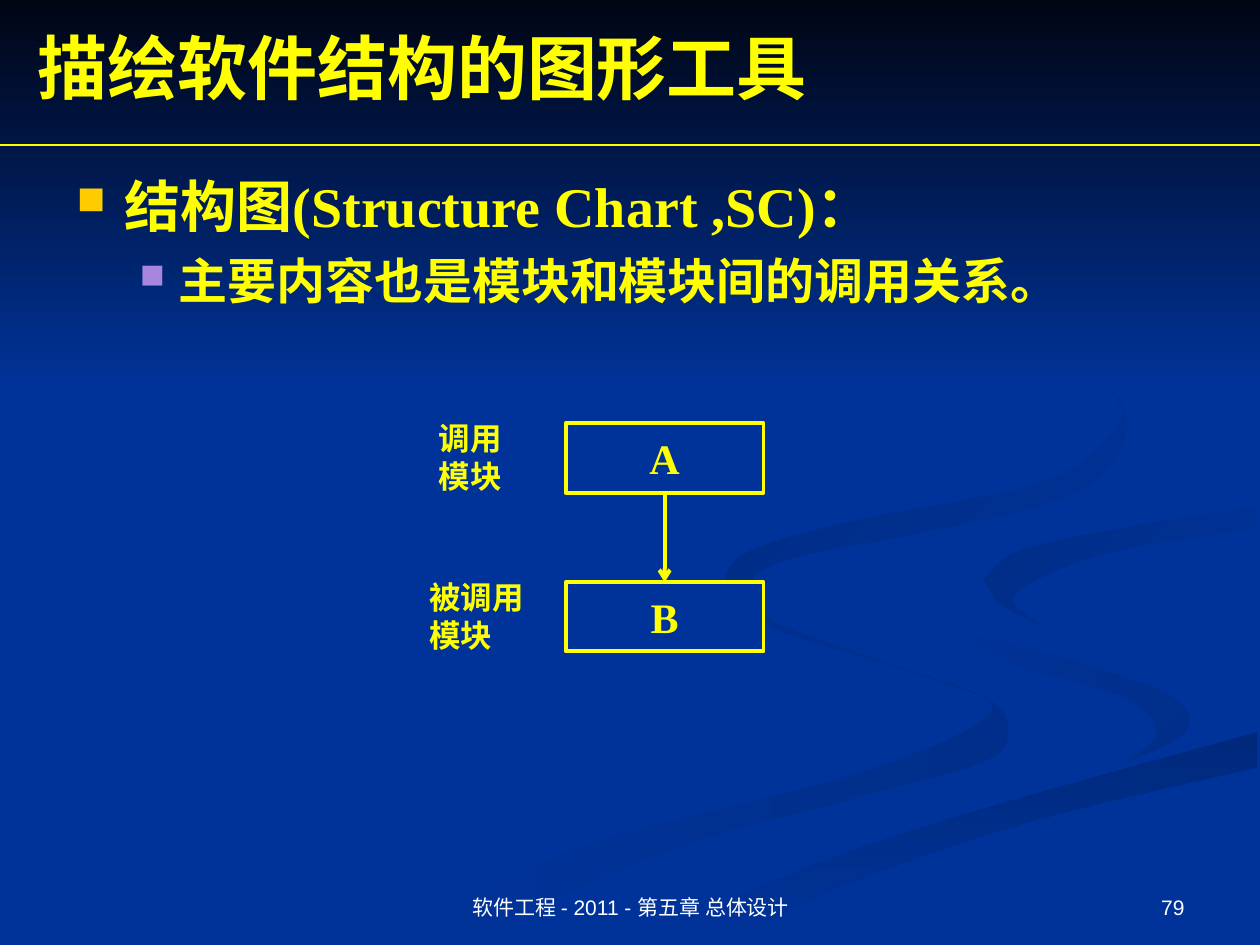
import pptx
import pptx.util
import pptx.dml.color
import pptx.enum.shapes
import pptx.enum.text
import pptx.oxml
import pptx.oxml.ns

Inches, Pt = pptx.util.Inches, pptx.util.Pt
SHAPES = pptx.enum.shapes.MSO_SHAPE
ALIGN = pptx.enum.text.PP_ALIGN
ANCHOR = pptx.enum.text.MSO_ANCHOR

WIDTH, HEIGHT = 10, 7.5
BLUE, YELLOW, WHITE = "003399", "FFFF00", "FFFFFF"
SERIF, SANS = "Times New Roman", "Arial"

# Content
TITLE = "描绘软件结构的图形工具"
# text, size, left margin, hanging indent, space before, bullet colour
BULLETS = [
    ("结构图(Structure Chart ,SC)：", 32, 0.38, 0.38, 0, "FFCC00"),
    ("主要内容也是模块和模块间的调用关系。", 28, 0.81, 0.31, 7, "A886E0"),
]
# module name, its label, label width
MODULES = [("A", "调用模块", 0.87), ("B", "被调用模块", 1.02)]
# text, left, width, alignment
FOOTERS = [
    ("软件工程 - 2011 - 第五章 总体设计", 3.42, 3.17, ALIGN.CENTER),
    ("79", 7.17, 2.33, ALIGN.RIGHT),
]

# Background ribbons: start colour, end colour, clockwise angle, two curved edges
RIBBONS = [
    ("002E8A", BLUE, 180,
     [(5.75, 4.59), (5.94, 4.85), (6.82, 5.19), (7.81, 5.53), (8, 5.81), (7.8, 6.05),
      (6.76, 6.34), (5.32, 6.74), (3.61, 7.49)],
     [(3, 7.49), (4.58, 6.74), (6.84, 6.13), (7.86, 5.66), (7.41, 5.39), (6.31, 5.05),
      (5.72, 4.76)]),
    ("002E8A", BLUE, 225,
     [(7.24, 4.64), (7.58, 4.98), (8.5, 5.24), (9.3, 5.53), (9.41, 5.81), (8.94, 6.05)],
     [(8.94, 6.05), (9.18, 5.81), (8.92, 5.53), (7.97, 5.24), (7.33, 4.88)]),
    ("00297C", BLUE, 90,
     [(5.03, 7.49), (6.3, 6.93), (7.64, 6.47), (9.98, 5.81)],
     [(9.98, 6.09), (8.21, 6.51), (6.7, 7.02), (5.71, 7.49)]),
    (BLUE, "002C85", 225,
     [(7.81, 4.6), (8.1, 4.37), (8.98, 4.18), (9.98, 4.02)],
     [(9.98, 4.2), (8.78, 4.39), (8.05, 4.72), (8.26, 4.96), (7.91, 4.78)]),
    (BLUE, "002B81", 225,
     [(8.8, 3.07), (8.94, 3.44), (8.55, 3.91), (7.39, 4.21), (6.24, 4.44), (5.93, 4.7),
      (6.22, 5)],
     [(6.22, 5), (5.8, 4.74), (5.89, 4.41), (6.76, 4.14), (8.3, 3.82), (8.89, 3.35),
      (8.8, 3.07)]),
]


def color(value):
    return pptx.dml.color.RGBColor.from_string(value)


def add_xml(parent, tag, **attributes):
    child = pptx.oxml.parse_xml(f"<a:{tag} {pptx.oxml.ns.nsdecls('a')}/>")
    for name, value in attributes.items():
        child.set(name, value)
    parent.append(child)
    return child


def style(para, size, font=SERIF, tint=YELLOW, bold=True, align=ALIGN.LEFT):
    para.alignment = align
    para.font.size, para.font.name, para.font.bold = Pt(size), font, bold
    para.font.color.rgb = color(tint)


def add_box(page, left, top, width, height, anchor=ANCHOR.TOP):
    box = page.shapes.add_textbox(*map(Inches, (left, top, width, height)))
    box.text_frame.word_wrap = True
    box.text_frame.vertical_anchor = anchor
    return box.text_frame


def add_block(page, left, top, width, height, text, size, outlined):
    block = page.shapes.add_shape(SHAPES.RECTANGLE, *map(Inches, (left, top, width, height)))
    block.shadow.inherit = False
    block.fill.solid()
    block.fill.fore_color.rgb = color(BLUE)
    if outlined:
        block.line.color.rgb, block.line.width = color(YELLOW), Pt(2.25)
    else:
        block.line.fill.background()
    frame = block.text_frame
    frame.word_wrap = not outlined
    frame.vertical_anchor = ANCHOR.MIDDLE if outlined else ANCHOR.TOP
    frame.text = text
    style(frame.paragraphs[0], size, align=ALIGN.CENTER if outlined else ALIGN.LEFT)


def add_line(page, start, end, width, arrow=False):
    line = page.shapes.add_connector(
        pptx.enum.shapes.MSO_CONNECTOR.STRAIGHT, *map(Inches, start + end))
    line.line.color.rgb, line.line.width = color(YELLOW), Pt(width)
    if arrow:
        add_xml(line.line._get_or_add_ln(), "tailEnd", type="arrow")
    add_xml(line._element.spPr, "effectLst")


def smooth(knots, steps=6):
    """Catmull-Rom curve through the knots."""
    padded = [knots[0], *knots, knots[-1]]
    curve = []
    for before, start, end, after in zip(padded, padded[1:], padded[2:], padded[3:]):
        for step in range(steps):
            t = step / steps
            curve.append(tuple(
                b + t / 2 * (c - a + t * (2 * a - 5 * b + 4 * c - d
                                          + t * (3 * (b - c) + d - a)))
                for a, b, c, d in zip(before, start, end, after)))
    return curve + [knots[-1]]


def paint_gradient(shape, first, last, angle):
    shape.shadow.inherit = False
    shape.line.fill.background()
    shape.fill.gradient()
    shape.fill.gradient_angle = 360 - angle
    for stop, position, tint in zip(shape.fill.gradient_stops, (0, 1), (first, last)):
        stop.position, stop.color.rgb = position, color(tint)


def add_ribbon(page, there, back):
    points = [(Inches(x), Inches(y)) for x, y in smooth(there) + smooth(back)]
    builder = page.shapes.build_freeform(*points[0], scale=1.0)
    builder.add_line_segments(points[1:], close=True)
    return builder.convert_to_shape()


def main():
    deck = pptx.Presentation()
    deck.slide_width, deck.slide_height = Inches(WIDTH), Inches(HEIGHT)
    page = deck.slides.add_slide(deck.slide_layouts[6])

    # Background
    page.background.fill.solid()
    page.background.fill.fore_color.rgb = color(BLUE)
    for first, last, angle, there, back in RIBBONS:
        paint_gradient(add_ribbon(page, there, back), first, last, angle)
    panel = page.shapes.add_shape(SHAPES.RECTANGLE, 0, 0, Inches(WIDTH), Inches(3.08))
    paint_gradient(panel, "000514", BLUE, 90)

    # Title and rule
    frame = add_box(page, 0.2, 0.14, 9.8, 0.77, ANCHOR.MIDDLE)
    frame.text = TITLE
    style(frame.paragraphs[0], 40)
    add_line(page, (0, 1.15), (WIDTH, 1.15), 0.75)

    # Bullets
    frame = add_box(page, 0.51, 1.31, 9, 4.95)
    for index, (text, size, margin, hanging, before, tint) in enumerate(BULLETS):
        para = frame.add_paragraph() if index else frame.paragraphs[0]
        para.text = text
        para.level = index
        para.space_before = Pt(before)
        props = para._p.get_or_add_pPr()
        props.set("marL", str(Inches(margin)))
        props.set("indent", str(-Inches(hanging)))
        add_xml(add_xml(props, "buClr"), "srgbClr", val=tint)
        add_xml(props, "buSzPct", val="70000")
        add_xml(props, "buChar", char="■")
        style(para, size)

    # Structure chart: one row per module, an arrow between rows
    left, top, width, height, pitch, label_center = 4.49, 3.36, 1.57, 0.55, 1.26, 3.82
    for row, (name, label, label_width) in enumerate(MODULES):
        y = top + row * pitch
        add_block(page, left, y, width, height, name, 24, True)
        add_block(page, label_center - label_width / 2, y - 0.08, label_width, 0.7,
                  label, 18, False)
        if row:
            middle = left + width / 2
            add_line(page, (middle, y - pitch + height), (middle, y), 2.25, arrow=True)

    # Footer
    for text, x, box_width, align in FOOTERS:
        frame = add_box(page, x, 6.83, box_width, 0.52, ANCHOR.BOTTOM)
        frame.text = text
        style(frame.paragraphs[0], 12, SANS, WHITE, False, align)

    deck.save("out.pptx")


if __name__ == "__main__":
    main()
